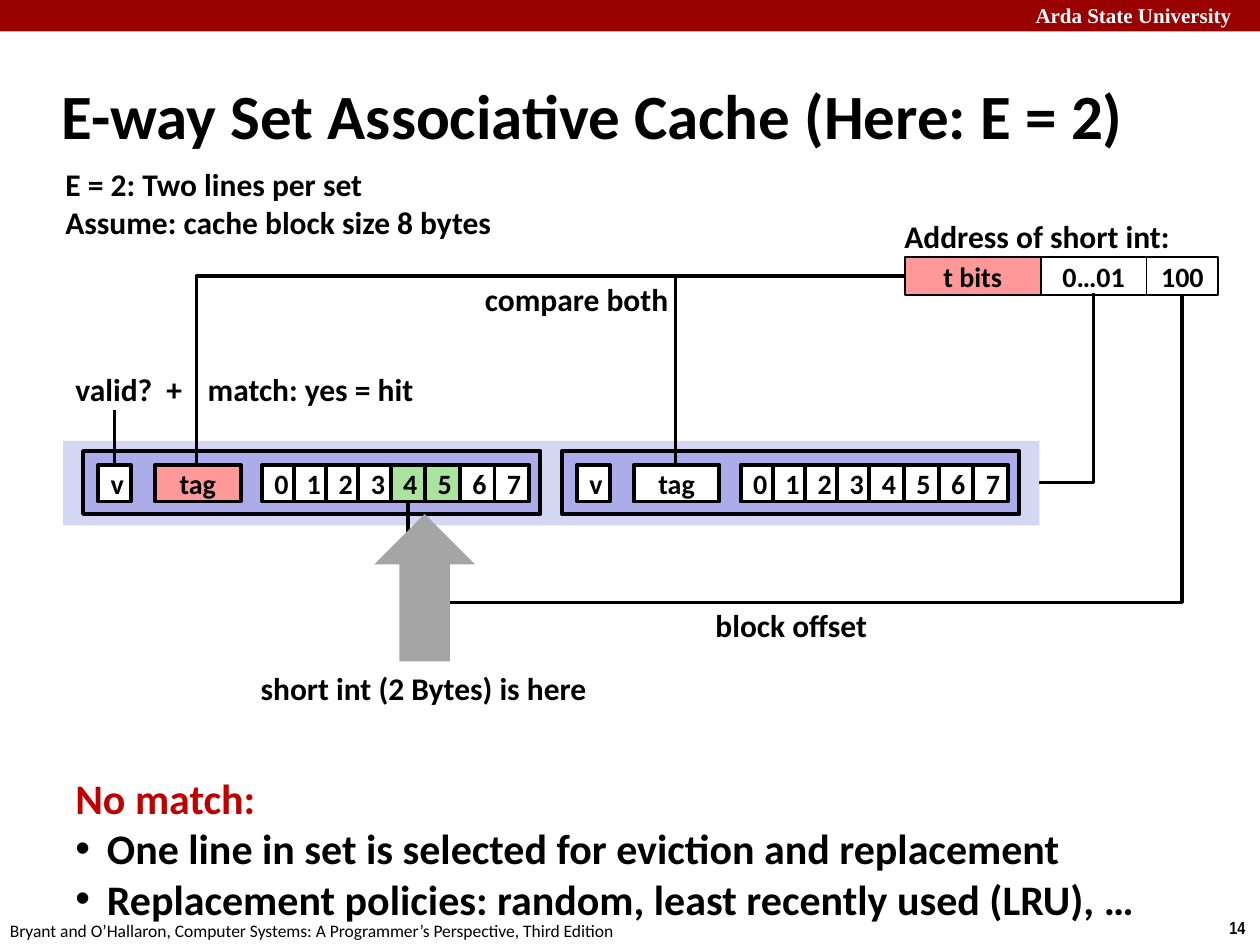
from dataclasses import dataclass

from lxml import etree
from pptx import Presentation
from pptx.dml.color import RGBColor
from pptx.enum.shapes import MSO_CONNECTOR, MSO_SHAPE
from pptx.enum.text import MSO_ANCHOR, PP_ALIGN
from pptx.oxml.ns import qn
from pptx.util import Inches, Pt

RECT, ARROW = MSO_SHAPE.RECTANGLE, MSO_SHAPE.UP_ARROW
ELBOW, STRAIGHT = MSO_CONNECTOR.ELBOW, MSO_CONNECTOR.STRAIGHT
LEFT, CENTER = PP_ALIGN.LEFT, PP_ALIGN.CENTER
TOP, MIDDLE = MSO_ANCHOR.TOP, MSO_ANCHOR.MIDDLE


@dataclass(frozen=True)
class Theme:
    font: str = "Calibri"
    serif: str = "Times New Roman"
    narrow: str = "Arial Narrow"
    black: str = "000000"
    white: str = "FFFFFF"
    band: str = "990000"
    alert: str = "C00000"
    pink: str = "FF9999"
    green: str = "A9E39D"
    pale: str = "D5D5F4"
    lilac: str = "ACACEA"
    grey: str = "A5A5A5"
    title: int = 36
    body: int = 24
    label: int = 18
    cell: int = 16
    brand: int = 12
    small: int = 10
    thin: float = 1
    wire: float = 2
    frame: float = 2.25


T = Theme()


def color(code):
    return RGBColor.from_string(code)


def style(par, size, font=T.font, ink=T.black, bold=True, align=LEFT):
    par.alignment = align
    par.font.size, par.font.name, par.font.bold = Pt(size), font, bold
    par.font.color.rgb = color(ink)


def label(slide, text, x, y, w, h=0.4, size=T.label, **looks):
    box = slide.shapes.add_textbox(Inches(x), Inches(y), Inches(w), Inches(h))
    frame = box.text_frame
    frame.word_wrap = True
    frame.text = text
    for par in frame.paragraphs:
        style(par, size, **looks)
    return frame


def block(slide, x, y, w, h, fill, edge=0, text="", kind=RECT):
    shape = slide.shapes.add_shape(kind, Inches(x), Inches(y), Inches(w), Inches(h))
    shape.shadow.inherit = False
    shape.fill.solid()
    shape.fill.fore_color.rgb = color(fill)
    if edge:
        shape.line.color.rgb = color(T.black)
        shape.line.width = Pt(edge)
    else:
        shape.line.fill.background()
    if text:
        frame = shape.text_frame
        frame.text, frame.vertical_anchor = text, MIDDLE
        style(frame.paragraphs[0], T.cell, align=CENTER)


def wire(slide, x1, y1, x2, y2, kind=STRAIGHT):
    line = slide.shapes.add_connector(kind, Inches(x1), Inches(y1), Inches(x2), Inches(y2))
    line.line.color.rgb = color(T.black)
    line.line.width = Pt(T.wire)
    props = line._element.spPr
    etree.SubElement(props, qn("a:effectLst"))
    return props


def corner(slide, x1, y1, x2, y2):
    props = wire(slide, x1, y1, x2, y2, ELBOW)
    props.find(qn("a:prstGeom")).set("prst", "bentConnector2")


def drop(slide, x1, y1, x2, y2, low):
    wide, tall = x1 - x2, y2 - y1
    left, top = (x1 + x2 - tall) / 2, (y1 + y2 - wide) / 2
    props = wire(slide, left, top, left + tall, top + wide, ELBOW)
    props.find(qn("a:xfrm")).set("rot", "5400000")
    guides = props.find(qn("a:prstGeom")).get_or_add_avLst()
    bend = round((low - y1) / tall * 100000)
    etree.SubElement(guides, qn("a:gd"), name="adj1", fmla=f"val {bend}")


def chrome(slide, wide, tall):
    block(slide, 0, 0, wide, 0.25, T.band)
    label(slide, "Arda State University", wide - 1.88, -0.03, 1.95, 0.5,
          T.brand, font=T.serif, ink=T.white)
    label(slide, "14", wide - 0.34, tall - 0.27, 0.34, 0.27, T.small, font=T.narrow)
    label(slide, "Bryant and O’Hallaron, Computer Systems: A Programmer’s Perspective, "
          "Third Edition", -0.02, tall - 0.25, 5.08, 0.27, T.small, bold=False)


def heading(slide, x, y, w, h):
    title = slide.shapes.title
    title.left, title.top = Inches(x), Inches(y)
    title.width, title.height = Inches(w), Inches(h)
    frame = title.text_frame
    frame.text = "E-way Set Associative Cache (Here: E = 2)"
    frame.vertical_anchor = MIDDLE
    style(frame.paragraphs[0], T.title)
    label(slide, "E = 2: Two lines per set\nAssume: cache block size 8 bytes",
          x + 0.03, y + 0.77, 3.61, 0.71)


def address(slide, x, y):
    label(slide, "Address of short int:", x - 0.1, y - 0.37, 2.33)
    parts = (("t bits", 1.08, T.pink), ("0…01", 0.84, T.white), ("100", 0.57, T.white))
    left = x
    for text, w, fill in parts:
        block(slide, left, y, w, 0.3, fill, T.thin, text)
        left += w


def way(slide, x, y, hit=False):
    def cell(left, w, text, fill=T.white):
        block(slide, x + left, y + 0.11, w, 0.29, fill, T.frame, text)

    block(slide, x, y, 3.63, 0.5, T.lilac, T.frame)
    cell(0.12, 0.26, "v")
    cell(0.57, 0.68, "tag", T.pink if hit else T.white)
    left = 1.42
    for byte in range(8):
        w = 0.255 if byte < 4 else 0.275
        cell(left, w, str(byte), T.green if hit and byte in (4, 5) else T.white)
        left += w


def lookup(slide, x, y):
    block(slide, x, y, 7.75, 0.67, T.pale)
    way(slide, x + 0.16, y + 0.08, hit=True)
    way(slide, x + 3.96, y + 0.08)
    corner(slide, x + 7.75, y + 0.33, x + 8.18, y - 1.17)
    for tag in (4.86, 1.06):
        corner(slide, x + 6.68, y - 1.31, x + tag, y + 0.19)
    label(slide, "compare both", x + 3.25, y - 1.33, 1.67)
    wire(slide, x + 0.41, y - 0.25, x + 0.41, y + 0.19)
    label(slide, "valid?  +", x, y - 0.61, 1.12)
    label(slide, "match: yes = hit", x + 1.05, y - 0.61, 1.85)
    drop(slide, x + 8.88, y - 1.17, x + 2.74, y + 0.48, y + 1.28)
    label(slide, "block offset", x + 5.08, y + 1.26, 1.42)
    block(slide, x + 2.47, y + 0.58, 0.8, 1.17, T.grey, kind=ARROW)
    label(slide, "short int (2 Bytes) is here", x + 1.47, y + 1.76, 2.81)


def miss(slide, x, y, w, h):
    frame = label(slide, "No match:\n"
                  "One line in set is selected for eviction and replacement\n"
                  "Replacement policies: random, least recently used (LRU), …",
                  x, y, w, h, T.body)
    frame.vertical_anchor = TOP
    head, *items = frame.paragraphs
    head.font.color.rgb = color(T.alert)
    for par in items:
        props = par._p.get_or_add_pPr()
        props.set("marL", str(Inches(0.25)))
        props.set("indent", str(-Inches(0.25)))
        face = etree.Element(qn("a:buFont"), typeface="Arial")
        mark = etree.Element(qn("a:buChar"), char="•")
        props.insert(0, face)
        props.insert(1, mark)


def main():
    wide, tall = 10, 7.5
    deck = Presentation()
    deck.slide_width, deck.slide_height = Inches(wide), Inches(tall)
    slide = deck.slides.add_slide(deck.slide_layouts[5])
    chrome(slide, wide, tall)
    heading(slide, 0.39, 0.49, 9.02, 0.83)
    address(slide, 7.18, 2.04)
    lookup(slide, 0.5, 3.5)
    miss(slide, 0.5, 6.08, 8.73, 1.31)
    deck.save("out.pptx")


if __name__ == "__main__":
    main()
